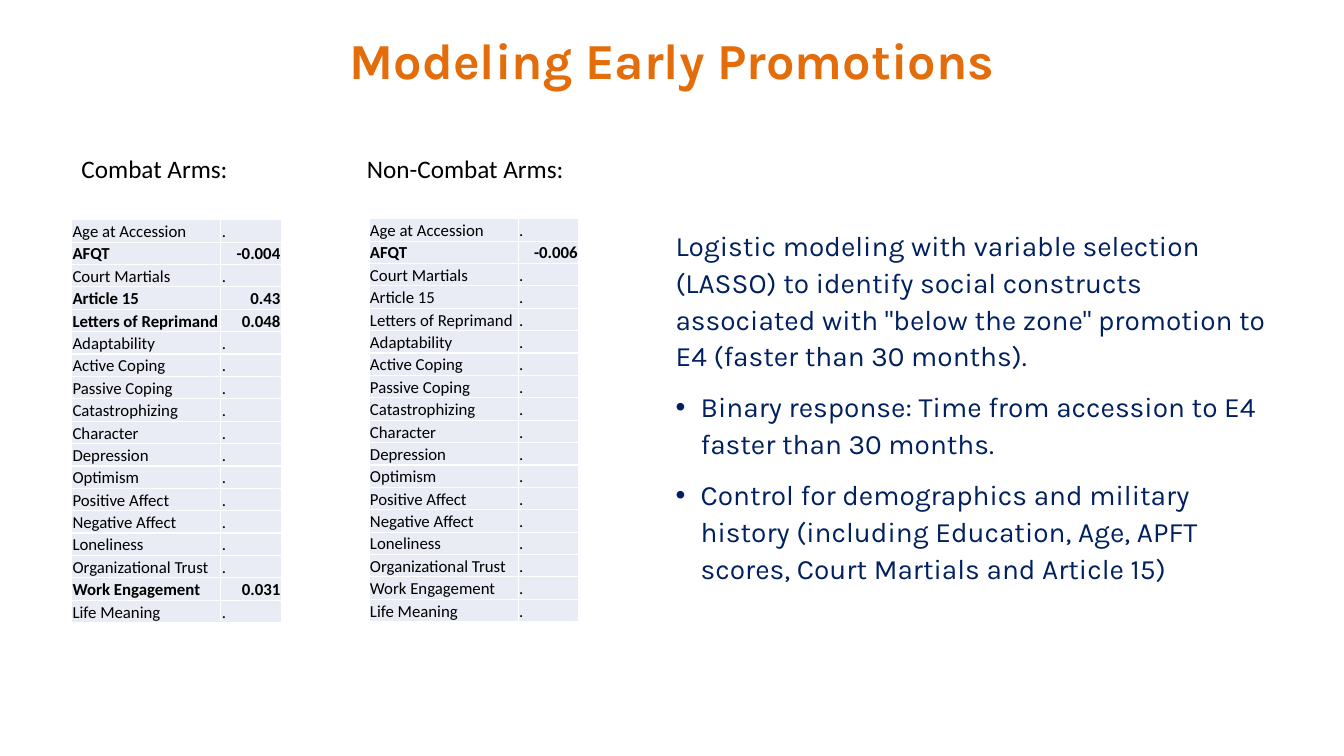
from lxml.etree import SubElement
from pptx import Presentation
from pptx.dml.color import RGBColor
from pptx.enum.text import MSO_ANCHOR, MSO_AUTO_SIZE, PP_ALIGN
from pptx.oxml.ns import qn
from pptx.util import Inches, Pt

PREDICTORS = [
    "Age at Accession", "AFQT", "Court Martials", "Article 15",
    "Letters of Reprimand", "Adaptability", "Active Coping", "Passive Coping",
    "Catastrophizing", "Character", "Depression", "Optimism",
    "Positive Affect", "Negative Affect", "Loneliness",
    "Organizational Trust", "Work Engagement", "Life Meaning",
]
COMBAT = {"AFQT": "-0.004", "Article 15": "0.43",
          "Letters of Reprimand": "0.048", "Work Engagement": "0.031"}
NON_COMBAT = {"AFQT": "-0.006"}
SUMMARY = ('Logistic modeling with variable selection (LASSO) to identify social '
           'constructs associated with "below the zone" promotion to E4 '
           '(faster than 30 months).')
DETAILS = [
    "Binary response: Time from accession to E4 faster than 30 months.",
    "Control for demographics and military history (including Education, Age, "
    "APFT scores, Court Martials and Article 15)",
]


def color(value):
    return RGBColor.from_string(value)


def write(para, text, size=12, font="Calibri", ink="000000", bold=False,
          align=PP_ALIGN.LEFT, spacing=1.0, before=0):
    para.alignment = align
    para.line_spacing = spacing
    para.space_before = Pt(before)
    span = para.add_run()
    span.text = text
    span.font.size = Pt(size)
    span.font.name = font
    span.font.bold = bold
    span.font.color.rgb = color(ink)


def place(shape, left, top, width, height):
    shape.left, shape.top = Inches(left), Inches(top)
    shape.width, shape.height = Inches(width), Inches(height)


def set_bullet(para, mark=None, indent=0.0):
    properties = para._p.get_or_add_pPr()
    properties.set("marL", str(Inches(indent)))
    properties.set("indent", str(-Inches(indent)))
    if mark:
        SubElement(properties, qn("a:buFont")).set("typeface", "Arial")
        SubElement(properties, qn("a:buChar")).set("char", mark)
    else:
        SubElement(properties, qn("a:buNone"))


def set_borders(cell, ink="FFFFFF", width=1):
    properties = cell._tc.get_or_add_tcPr()
    for side in ("lnL", "lnR", "lnT", "lnB"):
        line = SubElement(properties, qn(f"a:{side}"), w=str(Pt(width)))
        fill = SubElement(line, qn("a:solidFill"))
        SubElement(fill, qn("a:srgbClr")).set("val", ink)


def add_title(page, left, top, width, height):
    title = page.shapes.title
    place(title, left, top, width, height)
    frame = title.text_frame
    frame.auto_size = MSO_AUTO_SIZE.NONE
    frame.vertical_anchor = MSO_ANCHOR.MIDDLE
    write(frame.paragraphs[0], "Modeling Early Promotions", size=36, font="Karla",
          ink="E36C0B", bold=True, align=PP_ALIGN.CENTER, spacing=0.9)


def add_explanation(page, left, top, width, height):
    body = page.placeholders[1]
    place(body, left, top, width, height)
    frame = body.text_frame
    frame.auto_size = MSO_AUTO_SIZE.NONE
    frame.vertical_anchor = MSO_ANCHOR.TOP
    style = dict(size=20, font="Karla", ink="002060", spacing=1.1)
    set_bullet(frame.paragraphs[0])
    write(frame.paragraphs[0], SUMMARY, **style)
    for detail in DETAILS:
        para = frame.add_paragraph()
        set_bullet(para, "•", 0.25)
        write(para, detail, before=10, **style)


def add_heading(page, text, left, top, width, height):
    box = page.shapes.add_textbox(Inches(left), Inches(top),
                                  Inches(width), Inches(height))
    box.text_frame.word_wrap = True
    write(box.text_frame.paragraphs[0], text, size=18)


def fill_cell(cell, text, **style):
    set_borders(cell)
    cell.fill.solid()
    cell.fill.fore_color.rgb = color("E9EBF5")
    cell.vertical_anchor = MSO_ANCHOR.BOTTOM
    cell.margin_left = cell.margin_right = cell.margin_top = Inches(0.01)
    cell.margin_bottom = 0
    write(cell.text_frame.paragraphs[0], text, **style)


def add_coefficients(page, selected, left, top, width, height):
    table = page.shapes.add_table(len(PREDICTORS), 2, Inches(left), Inches(top),
                                  Inches(width), Inches(height)).table
    table.first_row = table.horz_banding = False
    value_width = 0.6
    table.columns[0].width = Inches(width - value_width)
    table.columns[1].width = Inches(value_width)
    for index, predictor in enumerate(PREDICTORS):
        table.rows[index].height = Inches(height / len(PREDICTORS))
        chosen = predictor in selected
        fill_cell(table.cell(index, 0), predictor, bold=chosen)
        fill_cell(table.cell(index, 1), selected.get(predictor, "."), bold=chosen,
                  align=PP_ALIGN.RIGHT if chosen else PP_ALIGN.LEFT)


def main():
    deck = Presentation()
    deck.slide_width, deck.slide_height = Inches(13.33), Inches(7.5)
    page = deck.slides.add_slide(deck.slide_layouts[1])
    # Title and explanation
    add_title(page, 0, 0.28, 13.33, 0.7)
    add_explanation(page, 6.6, 2.18, 6.2, 4.86)
    # Model results for each group
    add_heading(page, "Combat Arms:", 0.71, 1.47, 2.1, 0.4)
    add_heading(page, "Non-Combat Arms:", 3.54, 1.47, 2.31, 0.4)
    add_coefficients(page, NON_COMBAT, 3.66, 2.17, 2.08, 4)
    add_coefficients(page, COMBAT, 0.71, 2.18, 2.08, 4)
    deck.save("out.pptx")


if __name__ == "__main__":
    main()
